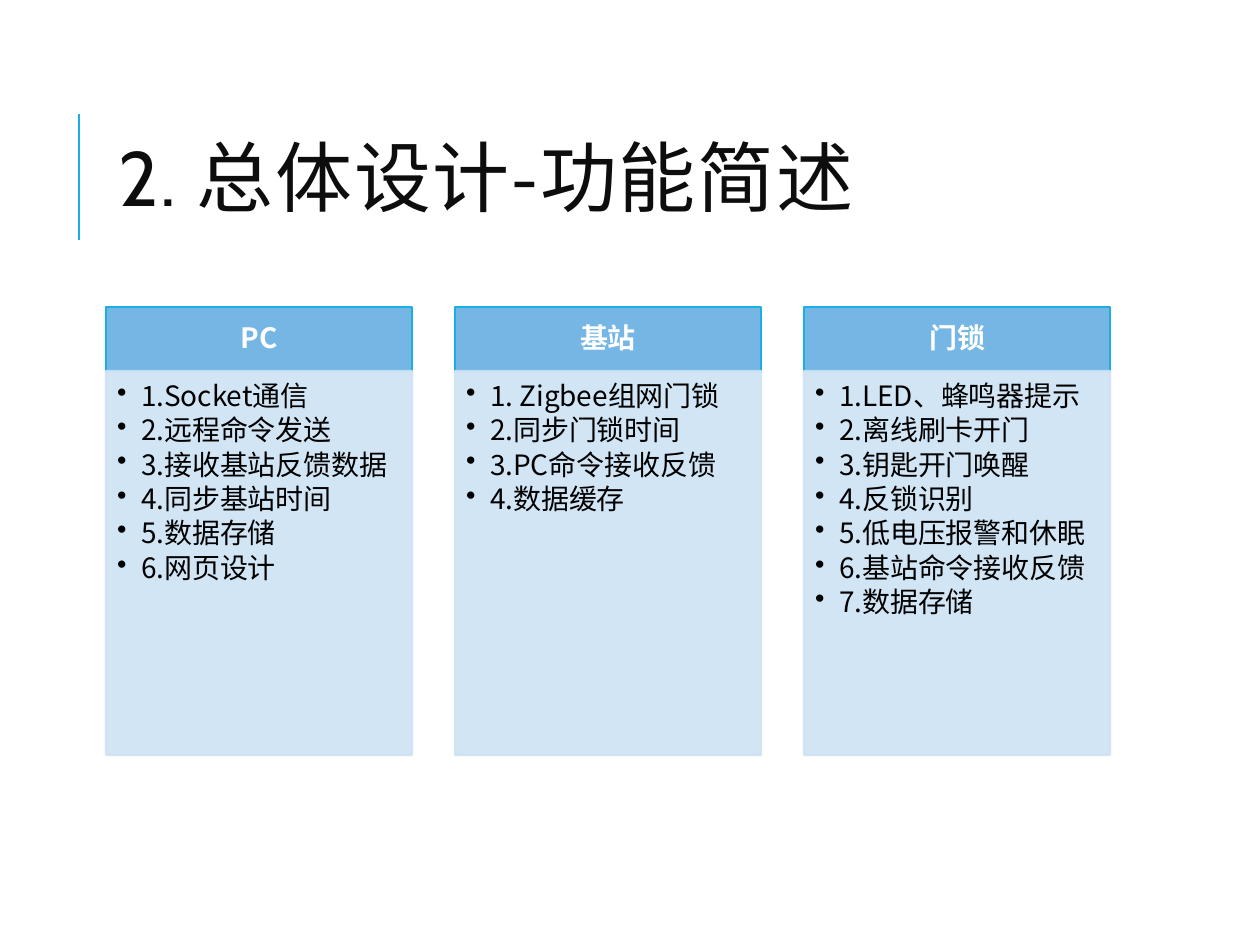
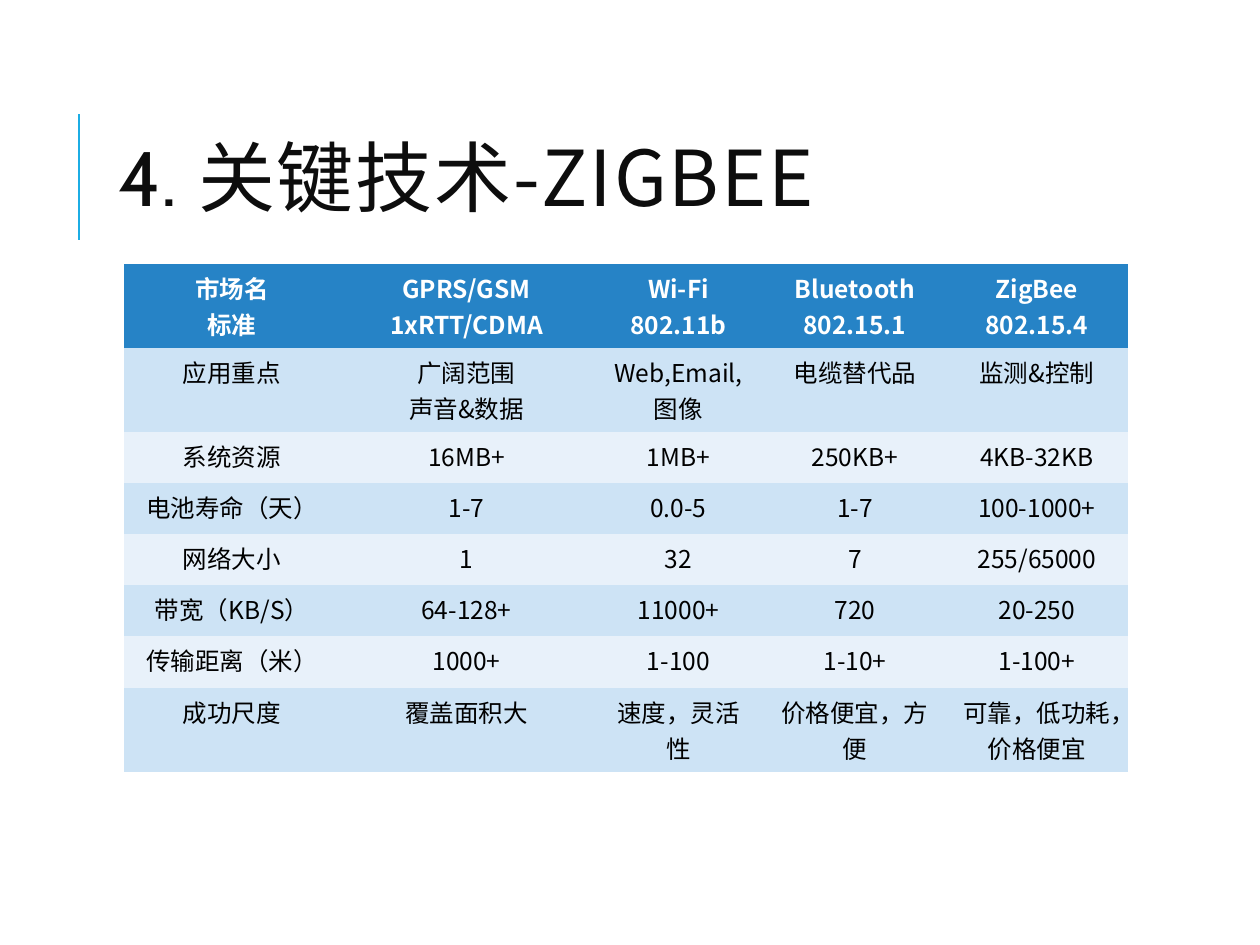
"""Build two slides on a wireless door lock: function columns and a protocol table."""
from lxml import etree
from pptx import Presentation
from pptx import util as u
from pptx.dml.color import RGBColor
from pptx.enum import shapes, text
from pptx.oxml.ns import qn

COLORS = {"accent": "1CADE4", "title": "0D0D0D", "head": "75B6E5", "pale": "CDE3F5",
          "paler": "E8F1FA", "table_head": "2683C6", "white": "FFFFFF", "black": "000000"}
FONT, NUMBER_FONT = "Noto Sans CJK TC", "Cabin"
NO_GRID_STYLE = "{2D5ABB26-0587-4C30-8999-92F81FD0307C}"

FUNCTIONS = {
    "PC": ["1.Socket通信", "2.远程命令发送", "3.接收基站反馈数据",
           "4.同步基站时间", "5.数据存储", "6.网页设计"],
    "基站": ["1. Zigbee组网门锁", "2.同步门锁时间", "3.PC命令接收反馈", "4.数据缓存"],
    "门锁": ["1.LED、蜂鸣器提示", "2.离线刷卡开门", "3.钥匙开门唤醒", "4.反锁识别",
           "5.低电压报警和休眠", "6.基站命令接收反馈", "7.数据存储"],
}
PROTOCOLS = [
    ("市场名\n标准", "GPRS/GSM\n1xRTT/CDMA", "Wi-Fi\n802.11b",
     "Bluetooth\n802.15.1", "ZigBee\n802.15.4"),
    ("应用重点", "广阔范围\n声音&数据", "Web,Email,图像", "电缆替代品", "监测&控制"),
    ("系统资源", "16MB+", "1MB+", "250KB+", "4KB-32KB"),
    ("电池寿命（天）", "1-7", "0.0-5", "1-7", "100-1000+"),
    ("网络大小", "1", "32", "7", "255/65000"),
    ("带宽（KB/S）", "64-128+", "11000+", "720", "20-250"),
    ("传输距离（米）", "1000+", "1-100", "1-10+", "1-100+"),
    ("成功尺度", "覆盖面积大", "速度，灵活性", "价格便宜，方便", "可靠，低功耗，价格便宜"),
]
COL_WIDTHS = [216, 253, 171, 182, 182]
ROW_HEIGHTS = [84, 84, 51, 51, 51, 51, 52, 84]
LEFT, COL_W, COL_PITCH = 106, 306, 349
HEAD_Y, HEAD_H, BODY_H = 307, 64, 384


def px(n):
    return u.Emu(round(n * 914400 / 126))


def rgb(name):
    return RGBColor.from_string(COLORS[name])


def write(tf, paragraphs, size, color, bold=False, align=text.PP_ALIGN.LEFT,
          spacing=None, after=None, tracking=None, bullet=False):
    for i, runs in enumerate(paragraphs):
        p = tf.paragraphs[0] if i == 0 else tf.add_paragraph()
        p.alignment = align
        if spacing:
            p.line_spacing = spacing
        if after:
            p.space_after = u.Pt(after)
        if bullet:
            p.level = 1
            pPr = p._p.get_or_add_pPr()
            pPr.set("marL", str(px(24)))
            pPr.set("indent", str(-px(24)))
            etree.SubElement(pPr, qn("a:buChar"), char="•")
        for content, font in [(runs, FONT)] if isinstance(runs, str) else runs:
            r = p.add_run()
            r.text = content
            r.font.size, r.font.bold, r.font.name = u.Pt(size), bold, font
            r.font.color.rgb = rgb(color)
            rPr = r.font._element
            etree.SubElement(rPr, qn("a:ea"), typeface=FONT)
            if tracking:
                rPr.set("spc", str(tracking))


def set_frame(tf, anchor, insets):
    tf.word_wrap = True
    tf.vertical_anchor = anchor
    tf.margin_left, tf.margin_top, tf.margin_right, tf.margin_bottom = map(px, insets)


def add_titled_slide(prs, number, title):
    s = prs.slides.add_slide(prs.slide_layouts[6])
    bar = s.shapes.add_connector(shapes.MSO_CONNECTOR.STRAIGHT,
                                 px(79), px(240), px(79), px(114))
    bar.line.color.rgb, bar.line.width = rgb("accent"), u.Pt(1.5)
    etree.SubElement(bar._element.spPr, qn("a:effectLst"))
    tf = s.shapes.add_textbox(px(LEFT), px(81), px(1004), px(207)).text_frame
    set_frame(tf, text.MSO_ANCHOR.MIDDLE, (12, 6, 12, 6))
    write(tf, [[(number, NUMBER_FONT), (" " + title, FONT)]], 44, "title",
          spacing=0.8, tracking=100)
    return s


def add_box(s, x, y, h, fill, line, alpha=None):
    sp = s.shapes.add_shape(shapes.MSO_SHAPE.RECTANGLE, px(x), px(y), px(COL_W), px(h))
    sp.shadow.inherit = False
    sp.fill.solid()
    sp.fill.fore_color.rgb = rgb(fill)
    sp.line.color.rgb, sp.line.width = rgb(line), u.Pt(1.25)
    if alpha:
        for clr in sp._element.spPr.iter(qn("a:srgbClr")):
            etree.SubElement(clr, qn("a:alpha"), val=str(alpha * 1000))
    return sp.text_frame


def add_function_columns(s):
    for i, (device, functions) in enumerate(FUNCTIONS.items()):
        x = LEFT + i * COL_PITCH
        tf = add_box(s, x, HEAD_Y, HEAD_H, "head", "accent")
        set_frame(tf, text.MSO_ANCHOR.MIDDLE, (15, 9, 15, 9))
        write(tf, [device], 16, "white", bold=True, align=text.PP_ALIGN.CENTER, spacing=0.9)
        tf = add_box(s, x, HEAD_Y + HEAD_H, BODY_H, "pale", "pale", alpha=90)
        set_frame(tf, text.MSO_ANCHOR.TOP, (11, 11, 15, 18))
        write(tf, functions, 16, "black", spacing=0.9, after=2.4, bullet=True)


def add_protocol_table(s):
    gf = s.shapes.add_table(len(PROTOCOLS), len(COL_WIDTHS), px(124), px(264),
                            px(sum(COL_WIDTHS)), px(sum(ROW_HEIGHTS)))
    for style in gf._element.iter(qn("a:tableStyleId")):
        style.text = NO_GRID_STYLE
    table = gf.table
    for col, width in zip(table.columns, COL_WIDTHS):
        col.width = px(width)
    for i, (values, height) in enumerate(zip(PROTOCOLS, ROW_HEIGHTS)):
        table.rows[i].height = px(height)
        fill = "table_head" if i == 0 else "pale" if i % 2 else "paler"
        for j, value in enumerate(values):
            cell = table.cell(i, j)
            cell.fill.solid()
            cell.fill.fore_color.rgb = rgb(fill)
            write(cell.text_frame, value.split("\n"), 14, "black" if i else "white",
                  bold=i == 0, align=text.PP_ALIGN.CENTER)


def main():
    prs = Presentation()
    prs.slide_width, prs.slide_height = px(1260), px(945)
    add_function_columns(add_titled_slide(prs, "2.", "总体设计-功能简述"))
    add_protocol_table(add_titled_slide(prs, "4.", "关键技术-ZIGBEE"))
    prs.save("out.pptx")


if __name__ == "__main__":
    main()
